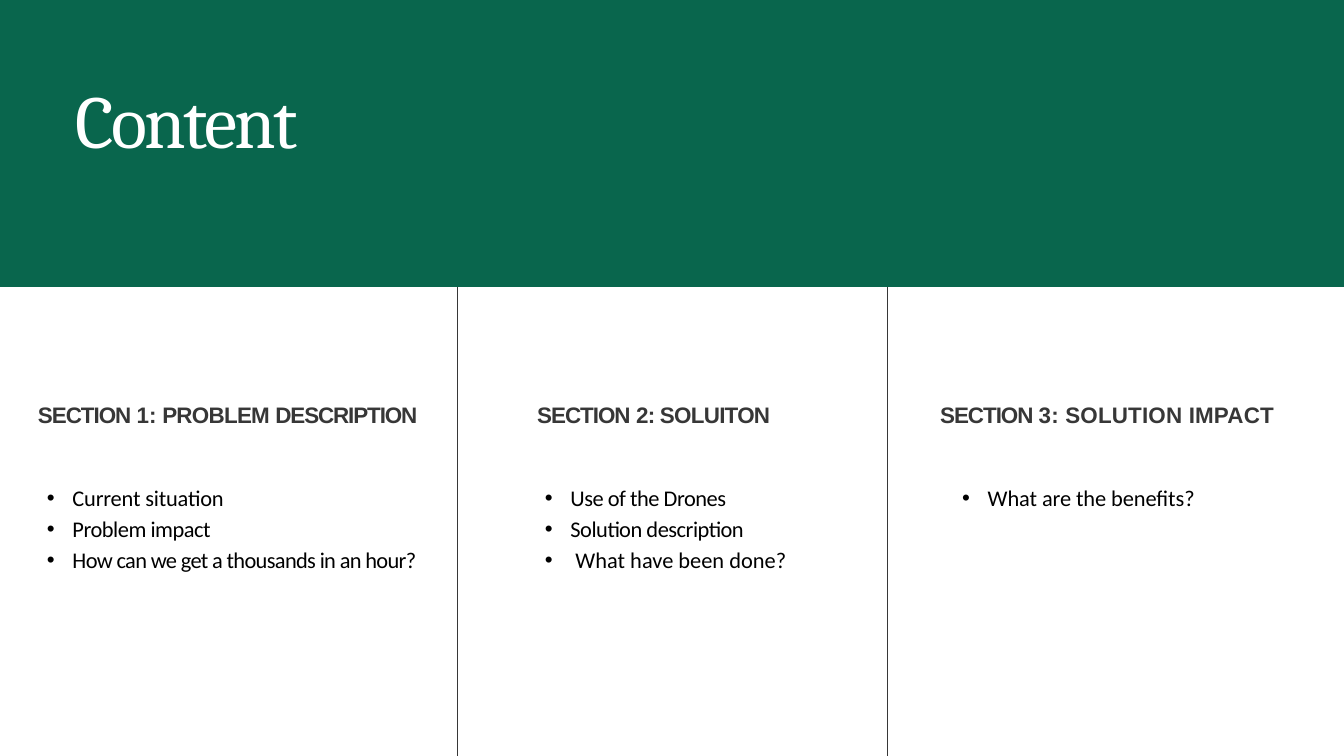
import pptx
import pptx.dml.color
import pptx.enum.shapes
import pptx.enum.text
import pptx.oxml.ns
import pptx.util

GREEN, GRAY, BLACK, WHITE = "09664D", "373737", "000000", "FFFFFF"
BAND_HEIGHT = 17.08
DIVIDERS = (27.2, 52.8)
TEXT_SIZE = 24
HEADING_TOP, HEADING_WIDTH, HEADING_HEIGHT = 23.84, 24.84, 1.68
LIST_TOP, LIST_WIDTH, LIST_ROW = 28.4, 25.5, 2

SECTIONS = [
    (24.84, [("SECTION ", -1.1), ("1:", 0.2), (" PROBLEM ", -0.8), ("DESCRIPTION", -1.2)],
     0, [("Current situation", -0.2), ("Problem impact", -0.5),
         ("How can we get a thousands in an hour?", -0.7)]),
    (45.84, [("SECTION", -1.1), (" 2: SOLUITON", -0.8)],
     29.64, [("Use of the Drones", -0.5), ("Solution description", -0.5),
             (" What have been done?", 0)]),
    (75.84, [("SECTION ", -1.1), ("3: SOLUTION IMPACT", 0.2)],
     54.48, [("What are the benefits?", -0.1)]),
]


def color(value):
    return pptx.dml.color.RGBColor.from_string(value)


class SlideBuilder:
    """Draws styled elements on one slide, measured on an 80 by 45 grid."""

    columns, rows = 80, 45

    def __init__(self, presentation):
        self.column = presentation.slide_width / self.columns
        self.row = presentation.slide_height / self.rows
        self.slide = presentation.slides.add_slide(presentation.slide_layouts[6])

    def place(self, left, top, width, height):
        return (round(left * self.column), round(top * self.row),
                round(width * self.column), round(height * self.row))

    def band(self, height, fill):
        shape = self.slide.shapes.add_shape(
            pptx.enum.shapes.MSO_SHAPE.RECTANGLE, *self.place(0, 0, self.columns, height))
        shape.shadow.inherit = False
        shape.fill.solid()
        shape.fill.fore_color.rgb = color(fill)
        shape.line.fill.background()

    def divider(self, left, top):
        connector = self.slide.shapes.add_connector(
            pptx.enum.shapes.MSO_CONNECTOR.STRAIGHT, *self.place(left, top, left, self.rows))
        connector.line.color.rgb = color(GRAY)
        connector.line.width = pptx.util.Pt(0.75)
        properties = connector._element.spPr
        properties.append(pptx.oxml.parse_xml(
            f"<a:effectLst {pptx.oxml.ns.nsdecls('a')}/>"))

    def text_frame(self, left, top, width, height):
        frame = self.slide.shapes.add_textbox(*self.place(left, top, width, height)).text_frame
        frame.word_wrap = True
        frame.auto_size = pptx.enum.text.MSO_AUTO_SIZE.SHAPE_TO_FIT_TEXT
        return frame

    def run(self, paragraph, text, spacing, size, font, ink, bold=False):
        run = paragraph.add_run()
        run.text = text
        run.font.size = pptx.util.Pt(size)
        run.font.name = font
        run.font.bold = bold
        run.font.color.rgb = color(ink)
        run._r.get_or_add_rPr().set("spc", str(round(spacing * 100)))

    def line(self, area, runs, size, font, ink, bold=False, align="LEFT"):
        frame = self.text_frame(*area)
        frame.margin_left = frame.margin_right = frame.margin_bottom = 0
        frame.margin_top = pptx.util.Inches(0.01)
        paragraph = frame.paragraphs[0]
        paragraph.alignment = getattr(pptx.enum.text.PP_ALIGN, align)
        for text, spacing in runs:
            self.run(paragraph, text, spacing, size, font, ink, bold)

    def bullets(self, area, items):
        frame = self.text_frame(*area)
        for index, (text, spacing) in enumerate(items):
            paragraph = frame.add_paragraph() if index else frame.paragraphs[0]
            properties = paragraph._p.get_or_add_pPr()
            properties.set("marL", str(pptx.util.Inches(0.98)))
            properties.set("indent", str(pptx.util.Inches(-0.38)))
            for tag, name, value in (("buFont", "typeface", "Arial"), ("buChar", "char", "•")):
                properties.append(pptx.oxml.parse_xml(
                    f'<a:{tag} {pptx.oxml.ns.nsdecls("a")} {name}="{value}"/>'))
            paragraph.line_spacing = 1.15
            self.run(paragraph, text, spacing, TEXT_SIZE, "Calibri", BLACK)


def main():
    presentation = pptx.Presentation()
    presentation.slide_width = pptx.util.Inches(20)
    presentation.slide_height = pptx.util.Inches(11.25)
    builder = SlideBuilder(presentation)

    for left in DIVIDERS:
        builder.divider(left, BAND_HEIGHT)
    builder.band(BAND_HEIGHT, GREEN)
    builder.line((4.48, 4.36, 50.24, 5.44), [("Content", -3)], 80, "Cambria", WHITE)

    for right, heading, list_left, items in SECTIONS:
        builder.line((right - HEADING_WIDTH, HEADING_TOP, HEADING_WIDTH, HEADING_HEIGHT),
                     heading, TEXT_SIZE, "Arial", GRAY, bold=True, align="RIGHT")
        builder.bullets((list_left, LIST_TOP, LIST_WIDTH, LIST_ROW * len(items)), items)

    presentation.save("out.pptx")


if __name__ == "__main__":
    main()
